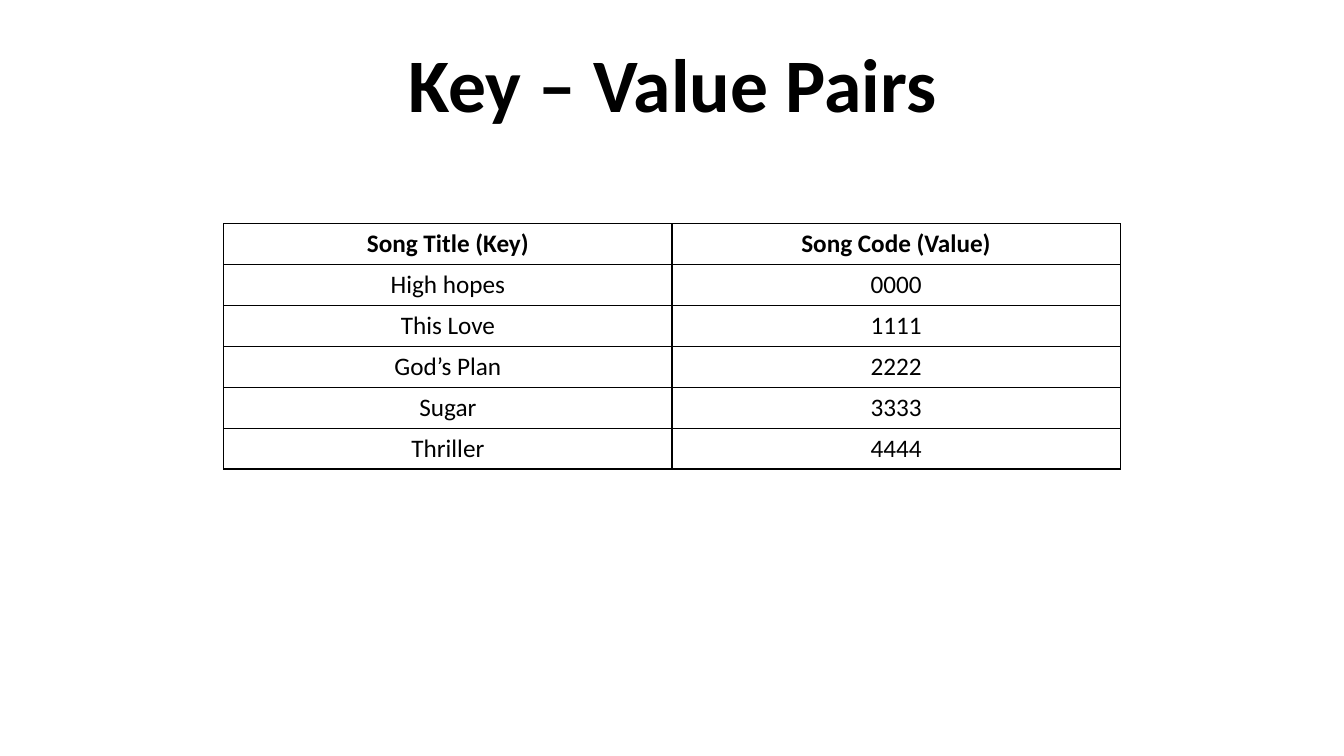
import pptx
import pptx.util
import pptx.dml.color
import pptx.enum.text
import pptx.oxml
import pptx.oxml.ns

Inches = pptx.util.Inches
Pt = pptx.util.Pt
COLORS = {"ink": "000000", "paper": "FFFFFF"}
TITLE = {"name": "Calibri", "size": Pt(54), "bold": True}
HEAD = {"name": "Calibri", "size": Pt(18), "bold": True}
BODY = {**HEAD, "bold": False}
SONGS = [
    ("Song Title (Key)", "Song Code (Value)"),
    ("High hopes", "0000"),
    ("This Love", "1111"),
    ("God’s Plan", "2222"),
    ("Sugar", "3333"),
    ("Thriller", "4444"),
]


def color(name):
    return pptx.dml.color.RGBColor.from_string(COLORS[name])


def set_all(item, values):
    for key, value in values.items():
        setattr(item, key, value)


def write(frame, text, style):
    frame.text = text
    line = frame.paragraphs[0]
    line.alignment = pptx.enum.text.PP_ALIGN.CENTER
    font = line.runs[0].font
    set_all(font, style)
    font.color.rgb = color("ink")
    return line


def border(cell):
    props = cell._tc.get_or_add_tcPr()
    for place, side in enumerate(("lnL", "lnR", "lnT", "lnB")):
        edge = pptx.oxml.parse_xml(
            f'<a:{side} {pptx.oxml.ns.nsdecls("a")} w="{Pt(1)}">'
            f'<a:solidFill><a:srgbClr val="{COLORS["ink"]}"/></a:solidFill>'
            f'</a:{side}>'
        )
        props.insert(place, edge)


def add_title(slide, text):
    title = slide.shapes.title
    set_all(title, {
        "left": Inches(1.67), "top": Inches(0.54),
        "width": Inches(10), "height": Inches(0.79),
    })
    frame = title.text_frame
    set_all(frame, {
        "word_wrap": True,
        "auto_size": pptx.enum.text.MSO_AUTO_SIZE.NONE,
        "vertical_anchor": pptx.enum.text.MSO_ANCHOR.BOTTOM,
    })
    write(frame, text, TITLE).line_spacing = 0.9


def add_grid(slide, rows):
    high = Inches(0.405)
    table = slide.shapes.add_table(
        len(rows), len(rows[0]), Inches(2.22), Inches(2.22),
        Inches(8.89), high * len(rows),
    ).table
    table.horz_banding = False
    for r, row in enumerate(rows):
        table.rows[r].height = high
        for c, text in enumerate(row):
            cell = table.cell(r, c)
            write(cell.text_frame, text, BODY if r else HEAD)
            cell.fill.solid()
            cell.fill.fore_color.rgb = color("paper")
            border(cell)


def main():
    deck = pptx.Presentation()
    set_all(deck, {"slide_width": Inches(13.33), "slide_height": Inches(7.5)})
    slide = deck.slides.add_slide(deck.slide_layouts[5])
    add_title(slide, "Key – Value Pairs")
    add_grid(slide, SONGS)
    deck.save("out.pptx")


if __name__ == "__main__":
    main()
